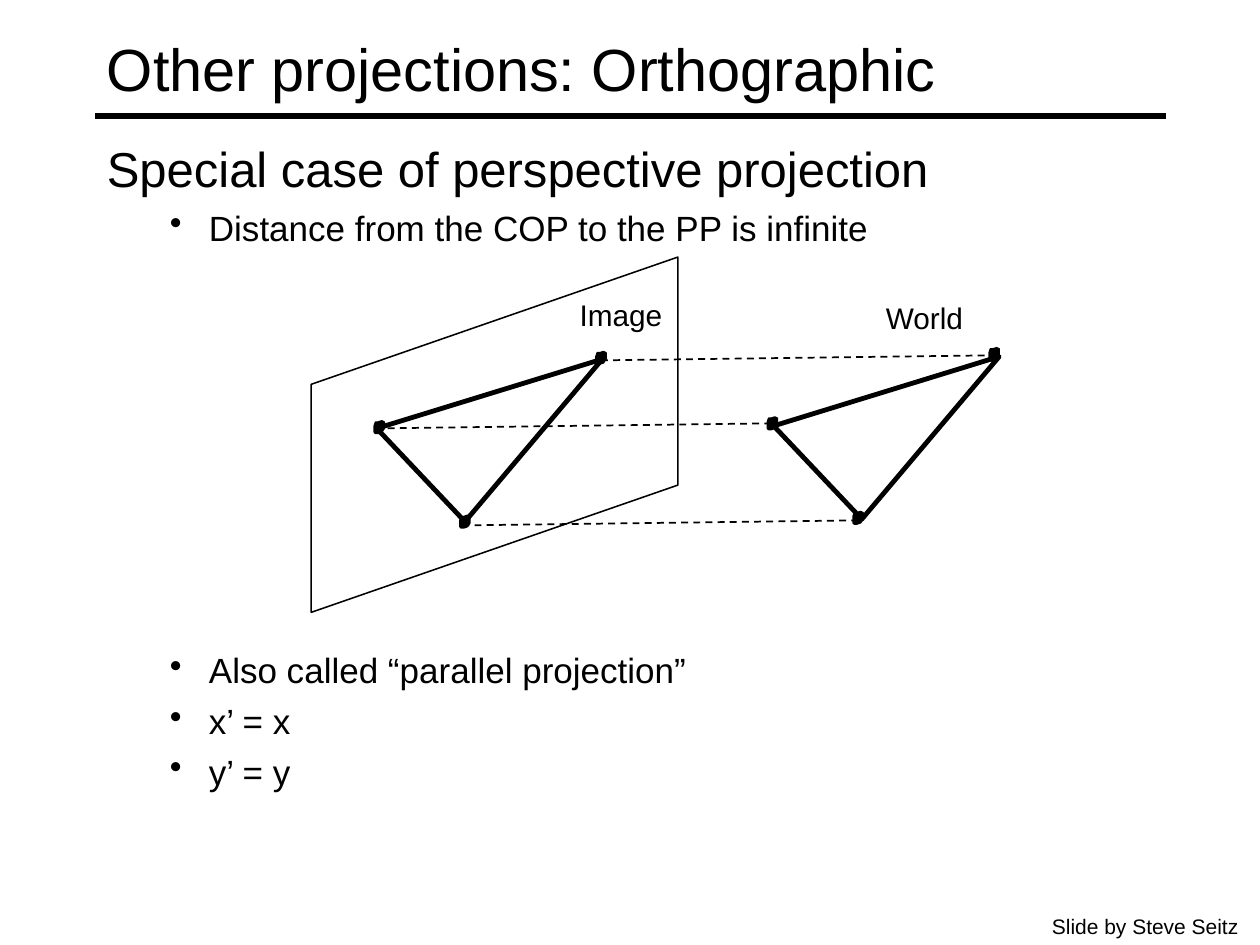
import pptx
import pptx.util
import pptx.dml.color
import pptx.enum.dml
import pptx.enum.shapes
import pptx.enum.text
import pptx.oxml.ns
import lxml.etree

Pt = pptx.util.Pt
COLORS = {"ink": "000000", "paper": "FFFFFF"}
INK = pptx.dml.color.RGBColor.from_string(COLORS["ink"])
FONT = "Arial"

deck = pptx.Presentation()
deck.slide_width = pptx.util.Inches(10)
deck.slide_height = pptx.util.Inches(7.5)
slide = deck.slides.add_slide(deck.slide_layouts[6])
slide.background.fill.solid()
slide.background.fill.fore_color.rgb = pptx.dml.color.RGBColor.from_string(COLORS["paper"])

# Grid of 10 columns by 7.5 rows
COL = deck.slide_width / 10
ROW = deck.slide_height / 7.5


def add_text(left, top, width, height, lines, inset=(0.1, 0.05), wrap=True, spacing=None):
    """Add a text box; each line is (words, size, space before, is bullet)."""
    box = slide.shapes.add_textbox(round(left * COL), round(top * ROW),
                                   round(width * COL), round(height * ROW))
    frame = box.text_frame
    frame.word_wrap = wrap
    frame.margin_left = frame.margin_right = round(inset[0] * COL)
    frame.margin_top = frame.margin_bottom = round(inset[1] * ROW)
    for number, (words, size, before, bullet) in enumerate(lines):
        paragraph = frame.add_paragraph() if number else frame.paragraphs[0]
        if spacing:
            paragraph.line_spacing = spacing
        if before:
            paragraph.space_before = Pt(before)
        if bullet:
            properties = paragraph._p.get_or_add_pPr()
            properties.set("marL", str(round(0.81 * COL)))
            properties.set("indent", str(round(-0.31 * COL)))
            mark = lxml.etree.SubElement(properties, pptx.oxml.ns.qn("a:buChar"))
            mark.set("char", "•")
        run = paragraph.add_run()
        run.text = words
        run.font.size = Pt(size)
        run.font.name = FONT
        run.font.color.rgb = INK
    return frame


def add_outline(points, weight, filled=False):
    """Draw a closed outline through grid points."""
    corners = [(round(x * COL), round(y * ROW)) for x, y in points]
    builder = slide.shapes.build_freeform(*corners[0])
    builder.add_line_segments(corners[1:], close=True)
    outline = builder.convert_to_shape()
    outline.shadow.inherit = False
    outline.line.color.rgb = INK
    outline.line.width = Pt(weight)
    if filled:
        outline.fill.solid()
        outline.fill.fore_color.rgb = INK
    else:
        outline.fill.background()


# Title and body
title = add_text(0.75, 0.08, 8.5, 0.92, [("Other projections: Orthographic", 34, 0, False)])
title.vertical_anchor = pptx.enum.text.MSO_ANCHOR.MIDDLE
FIGURE_GAP = 229
add_text(0.75, 1, 8.5, 5.75, [
    ("Special case of perspective projection", 28, 0, False),
    ("Distance from the COP to the PP is infinite", 20, 5, True),
    ("Also called “parallel projection”", 20, FIGURE_GAP, True),
    ("x’ = x", 20, 5, True),
    ("y’ = y", 20, 5, True),
], inset=(0.1, 0.1))

# Image plane
add_outline([(2.47, 3.05), (5.38, 2.04), (5.38, 3.85), (2.47, 4.86)], 0.88)

# Triangle and corner dots, in the image and again in the world
triangle = [(2.99, 3.4), (4.78, 2.85), (3.69, 4.14)]
dot_corners = [(2.97, 3.34), (4.73, 2.79), (3.65, 4.09)]
dot_outline = [(0.03, 0.01), (0.06, 0), (0.08, 0.01), (0.08, 0.06), (0.06, 0.09),
               (0.03, 0.1), (0.01, 0.1), (0, 0.09), (0, 0.04), (0.01, 0.01)]
for triangle_shift, dot_shift in [((0, 0), (0, 0)), ((3.15, -0.02), (3.12, -0.03))]:
    add_outline([(x + triangle_shift[0], y + triangle_shift[1]) for x, y in triangle], 2.75)
    for left, top in dot_corners:
        add_outline([(left + dot_shift[0] + x, top + dot_shift[1] + y)
                     for x, y in dot_outline], 0.88, filled=True)

# Labels
for label, left, top, width in [("Image", 4.6, 2.39, 0.66), ("World", 7.03, 2.41, 0.62)]:
    add_text(left, top, width, 0.26, [(label, 17, 0, False)],
             inset=(0, 0), wrap=False, spacing=0.9)

# Title rule and dashed parallel rays
rays = [(x, y, x + 3.14, y - 0.04, 1, True)
        for x, y in [(3.67, 4.17), (2.98, 3.4), (4.77, 2.86)]]
for x1, y1, x2, y2, weight, dashed in [(0.75, 0.92, 9.25, 0.92, 3, False)] + rays:
    ray = slide.shapes.add_connector(
        pptx.enum.shapes.MSO_CONNECTOR.STRAIGHT,
        round(x1 * COL), round(y1 * ROW), round(x2 * COL), round(y2 * ROW))
    ray.line.color.rgb = INK
    ray.line.width = Pt(weight)
    if dashed:
        ray.line.dash_style = pptx.enum.dml.MSO_LINE.DASH
    lxml.etree.SubElement(ray._element.spPr, pptx.oxml.ns.qn("a:effectLst"))

# Credit
add_text(8.25, 7.2, 1.68, 0.3, [("Slide by Steve Seitz", 12, 0, False)], wrap=False)

deck.save("out.pptx")
